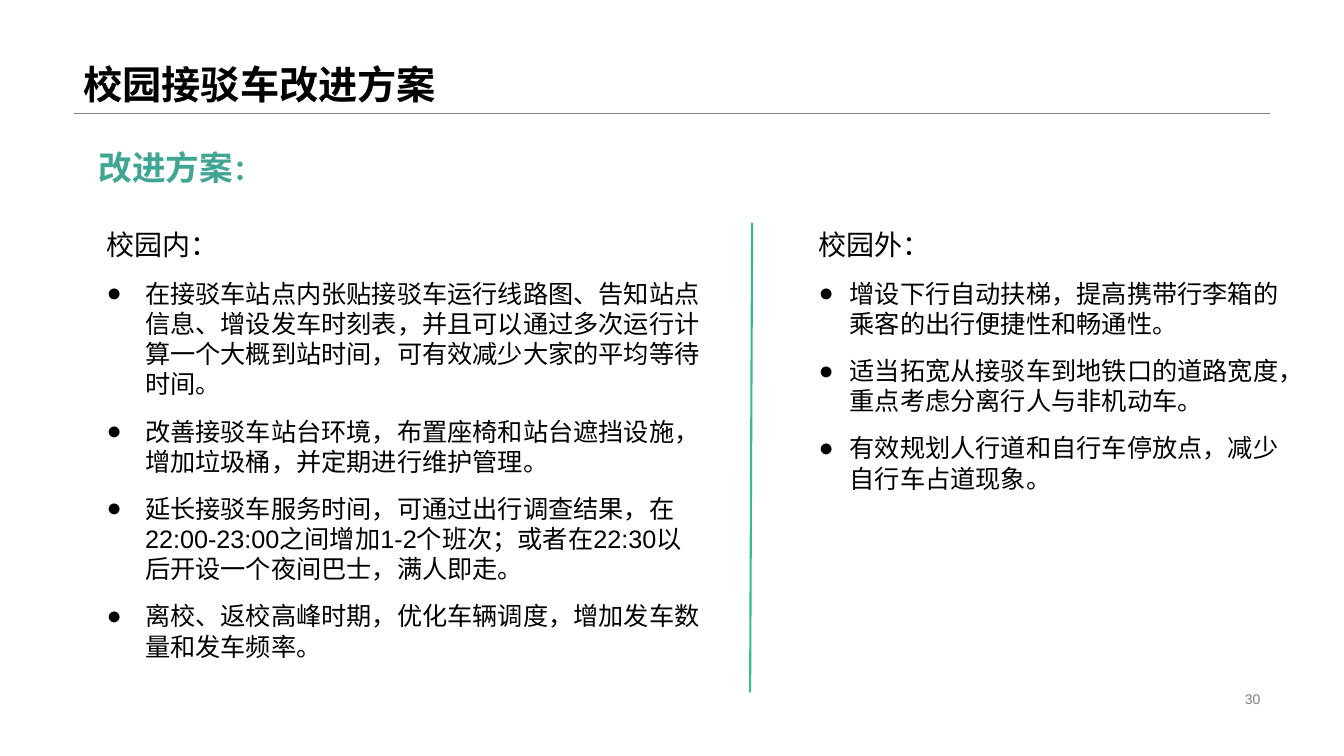
"""Build the campus shuttle improvement slide."""
from lxml.etree import SubElement
from pptx import Presentation
from pptx.dml.color import RGBColor
from pptx.enum.shapes import MSO_CONNECTOR
from pptx.enum.text import MSO_ANCHOR, PP_ALIGN
from pptx.oxml.ns import qn
from pptx.util import Inches, Pt

COLORS = {"text": "000000", "heading": "40A693", "divider": "33BD8F", "muted": "808080"}

ON_CAMPUS = [
    "在接驳车站点内张贴接驳车运行线路图、告知站点信息、增设发车时刻表，并且可以通过多次运行计算一个大概到站时间，可有效减少大家的平均等待时间。",
    "改善接驳车站台环境，布置座椅和站台遮挡设施，增加垃圾桶，并定期进行维护管理。",
    "延长接驳车服务时间，可通过出行调查结果，在22:00-23:00之间增加1-2个班次；或者在22:30以后开设一个夜间巴士，满人即走。",
    "离校、返校高峰时期，优化车辆调度，增加发车数量和发车频率。",
]
OFF_CAMPUS = [
    "增设下行自动扶梯，提高携带行李箱的乘客的出行便捷性和畅通性。",
    "适当拓宽从接驳车到地铁口的道路宽度，重点考虑分离行人与非机动车。",
    "有效规划人行道和自行车停放点，减少自行车占道现象。",
]


class SlideBuilder:
    """Hold the style and the current slide."""

    font_name = "Arial"

    def __init__(self, slide):
        self.slide = slide

    def style(self, font, size, color="text", bold=False):
        font.name = self.font_name
        font.size = Pt(size)
        font.bold = bold
        font.color.rgb = RGBColor.from_string(COLORS[color])

    def text(self, box, content, size, color="text", bold=False,
             anchor=MSO_ANCHOR.TOP, align=PP_ALIGN.LEFT):
        shape = self.slide.shapes.add_textbox(*map(Inches, box))
        text_frame = shape.text_frame
        text_frame.word_wrap = True
        text_frame.vertical_anchor = anchor
        text_frame.text = content
        paragraph = text_frame.paragraphs[0]
        paragraph.alignment = align
        self.style(paragraph.runs[0].font, size, color, bold)
        return text_frame

    def bullet_column(self, box, heading, items, indent):
        text_frame = self.text(box, heading, 20)
        for item in items:
            paragraph = text_frame.add_paragraph()
            paragraph.text = item
            paragraph.space_before = Pt(12)
            properties = paragraph._p.get_or_add_pPr()
            properties.set("marL", str(Inches(indent)))
            properties.set("indent", str(-Inches(indent)))
            SubElement(properties, qn("a:buFont"), typeface=self.font_name)
            SubElement(properties, qn("a:buChar"), char="●")
            self.style(paragraph.runs[0].font, 18)

    def line(self, start, end, color, width):
        connector = self.slide.shapes.add_connector(
            MSO_CONNECTOR.STRAIGHT, *map(Inches, start + end))
        connector.line.color.rgb = RGBColor.from_string(COLORS[color])
        connector.line.width = Pt(width)
        SubElement(connector._element.spPr, qn("a:effectLst"))


def main():
    presentation = Presentation()
    presentation.slide_width = Inches(13.33)
    presentation.slide_height = Inches(7.5)
    builder = SlideBuilder(presentation.slides.add_slide(presentation.slide_layouts[6]))

    builder.line((0.73, 1.12), (12.6, 1.12), "muted", 0.25)
    title = builder.text((0.73, 0, 11.87, 1.12), "校园接驳车改进方案", 28,
                         bold=True, anchor=MSO_ANCHOR.BOTTOM)
    title.paragraphs[0].line_spacing = 0.9
    builder.text((9.42, 6.82, 3.18, 0.23), "30", 10, "muted",
                 anchor=MSO_ANCHOR.MIDDLE, align=PP_ALIGN.RIGHT)

    subtitle = builder.text((0.88, 1.41, 2.4, 0.38), "改进方案", 24, "heading", bold=True)
    colon = subtitle.paragraphs[0].add_run()
    colon.text = "："
    builder.style(colon.font, 20, "heading", bold=True)

    builder.bullet_column((0.96, 2.21, 6.11, 4.6), "校园内：", ON_CAMPUS, 0.38)
    builder.bullet_column((8.02, 2.21, 4.87, 2.76), "校园外：", OFF_CAMPUS, 0.31)
    builder.line((7.46, 2.21), (7.44, 6.87), "divider", 1.5)
    presentation.save("out.pptx")


if __name__ == "__main__":
    main()
